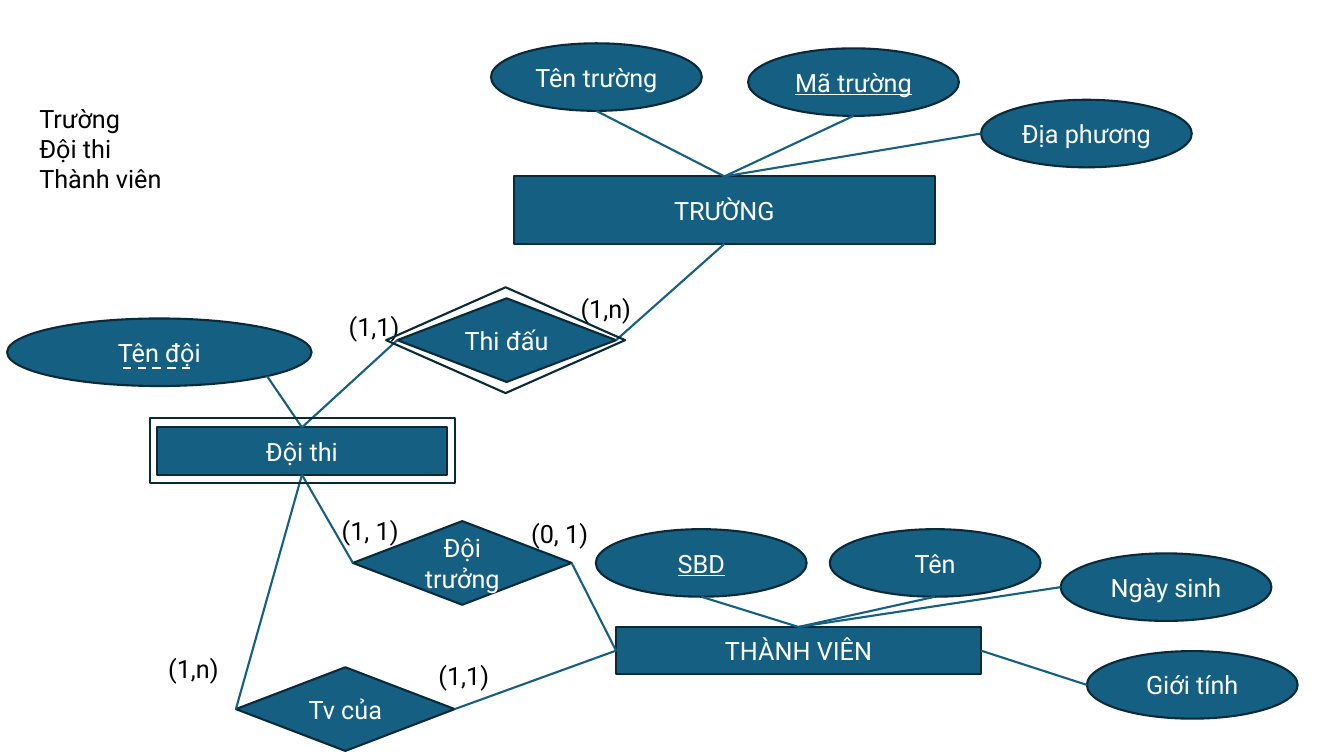
from typing import NamedTuple

import lxml.etree
import pptx
import pptx.dml.color
import pptx.enum.dml
import pptx.enum.shapes
import pptx.enum.text
import pptx.oxml.ns
import pptx.util

Inches = pptx.util.Inches
Pt = pptx.util.Pt
qn = pptx.oxml.ns.qn
Shape = pptx.enum.shapes.MSO_SHAPE

COLORS = {"fill": "156082", "outline": "092A39", "white": "FFFFFF", "black": "000000"}
FONT = "Roboto"

# Connection sites: position as a share of width and height
SITES = {"top": (0.5, 0), "left": (0, 0.5), "bottom": (0.5, 1),
         "right": (1, 0.5), "bottom right": (0.854, 0.854)}
FOUR_SITES = {"top": 0, "left": 1, "bottom": 2, "right": 3}
ELLIPSE_SITES = {"top": 0, "left": 2, "bottom": 4, "bottom right": 5, "right": 6}


class Node(NamedTuple):
    text: str
    kind: int
    left: float
    top: float
    width: float
    height: float
    underline: bool = False


class Link(NamedTuple):
    start: str
    start_site: str
    end: str
    end_site: str


class Label(NamedTuple):
    text: str
    left: float
    top: float
    width: float


def attribute(text: str, left: float, top: float, width: float = 2.09,
              underline: bool = False) -> Node:
    return Node(text, Shape.OVAL, left, top, width, 0.67, underline)


def relationship(text: str, left: float, top: float) -> Node:
    return Node(text, Shape.FLOWCHART_DECISION, left, top, 2.17, 0.83)


NODES = [
    Node("TRƯỜNG", Shape.RECTANGLE, 5.1, 1.75, 4.17, 0.67),
    Node("Đội thi", Shape.RECTANGLE, 1.56, 4.24, 2.87, 0.47),
    Node("THÀNH VIÊN", Shape.RECTANGLE, 6.11, 6.22, 3.62, 0.47),
    attribute("Mã trường", 7.42, 0.48, underline=True),
    attribute("Tên trường", 4.87, 0.43),
    attribute("Địa phương", 9.73, 0.99),
    attribute("Tên đội", 0.07, 3.16, width=3.02),
    attribute("SBD", 5.91, 5.25, underline=True),
    attribute("Tên", 8.23, 5.25),
    attribute("Ngày sinh", 10.52, 5.49),
    attribute("Giới tính", 10.78, 6.46),
    relationship("Thi đấu", 3.94, 2.96),
    relationship("Tv của", 2.34, 6.62),
    relationship("Đội trưởng", 3.5, 5.17),
]
# Outer outlines of the weak entity and its relationship
FRAMES = [
    Node("", Shape.RECTANGLE, 1.49, 4.15, 3.02, 0.64),
    Node("", Shape.FLOWCHART_DECISION, 3.83, 2.85, 2.37, 1.05),
]
LINKS = [
    Link("Tên đội", "bottom right", "Đội thi", "top"),
    Link("SBD", "bottom", "THÀNH VIÊN", "top"),
    Link("Tên", "bottom", "THÀNH VIÊN", "top"),
    Link("Ngày sinh", "left", "THÀNH VIÊN", "top"),
    Link("Giới tính", "left", "THÀNH VIÊN", "right"),
    Link("Tên trường", "bottom", "TRƯỜNG", "top"),
    Link("Mã trường", "bottom", "TRƯỜNG", "top"),
    Link("Địa phương", "left", "TRƯỜNG", "top"),
    Link("Đội thi", "top", "Thi đấu", "left"),
    Link("Thi đấu", "right", "TRƯỜNG", "bottom"),
    Link("Đội thi", "bottom", "Tv của", "left"),
    Link("Tv của", "right", "THÀNH VIÊN", "left"),
    Link("Đội thi", "bottom", "Đội trưởng", "left"),
    Link("Đội trưởng", "right", "THÀNH VIÊN", "left"),
]
LABELS = [
    Label("(1,n)", 5.66, 2.86, 0.71),
    Label("(1,1)", 3.36, 3.04, 0.9),
    Label("(1,n)", 1.57, 6.43, 1.54),
    Label("(1,1)", 4.25, 6.5, 0.92),
    Label("(1, 1)", 3.29, 5.06, 0.88),
    Label("(0, 1)", 5.17, 5.09, 0.88),
]


def rgb(name: str) -> pptx.dml.color.RGBColor:
    return pptx.dml.color.RGBColor.from_string(COLORS[name])


def style_paragraph(p, color: str) -> None:
    p.font.name = FONT
    p.font.size = Pt(18)
    p.font.color.rgb = rgb(color)


def add_node(slide, node: Node):
    sp = slide.shapes.add_shape(node.kind, Inches(node.left), Inches(node.top),
                                Inches(node.width), Inches(node.height))
    sp.shadow.inherit = False
    sp.line.color.rgb = rgb("outline")
    sp.line.width = Pt(1.5)
    if not node.text:
        sp.fill.background()
        return sp
    sp.fill.solid()
    sp.fill.fore_color.rgb = rgb("fill")
    tf = sp.text_frame
    tf.word_wrap = True
    tf.vertical_anchor = pptx.enum.text.MSO_ANCHOR.MIDDLE
    p = tf.paragraphs[0]
    p.text = node.text
    p.alignment = pptx.enum.text.PP_ALIGN.CENTER
    style_paragraph(p, "white")
    if node.underline:
        p.font.underline = True
    return sp


def add_line(slide, x1: int, y1: int, x2: int, y2: int, color: str):
    cxn = slide.shapes.add_connector(pptx.enum.shapes.MSO_CONNECTOR.STRAIGHT,
                                     x1, y1, x2, y2)
    cxn.line.color.rgb = rgb(color)
    cxn.line.width = Pt(1.5)
    lxml.etree.SubElement(cxn._element.spPr, qn("a:effectLst"))
    return cxn


def site_point(sp, site: str) -> tuple[int, int]:
    fx, fy = SITES[site]
    return int(sp.left + fx * sp.width), int(sp.top + fy * sp.height)


def add_link(slide, shapes: dict, link: Link) -> None:
    start, end = shapes[link.start], shapes[link.end]
    cxn = add_line(slide, *site_point(start, link.start_site),
                   *site_point(end, link.end_site), "fill")
    # Glue both ends so that the line follows its shapes
    props = cxn._element.find(".//" + qn("p:cNvCxnSpPr"))
    for tag, sp, site in (("a:stCxn", start, link.start_site),
                          ("a:endCxn", end, link.end_site)):
        is_ellipse = sp.auto_shape_type == Shape.OVAL
        index = (ELLIPSE_SITES if is_ellipse else FOUR_SITES)[site]
        lxml.etree.SubElement(props, qn(tag), id=str(sp.shape_id), idx=str(index))


def add_label(slide, label: Label) -> None:
    sp = slide.shapes.add_textbox(Inches(label.left), Inches(label.top),
                                  Inches(label.width), Inches(0.4))
    sp.text_frame.word_wrap = True
    p = sp.text_frame.paragraphs[0]
    p.text = label.text
    style_paragraph(p, "black")


def fill_entity_list(sp, entities: list[str]) -> None:
    sp.left, sp.top = Inches(0.29), Inches(0.97)
    sp.width, sp.height = Inches(3.15), Inches(1.31)
    tf = sp.text_frame
    tf.text = "\n".join(entities)
    tf.auto_size = pptx.enum.text.MSO_AUTO_SIZE.NONE
    tf.vertical_anchor = pptx.enum.text.MSO_ANCHOR.TOP
    for p in tf.paragraphs:
        style_paragraph(p, "black")
        p.space_before = Pt(0)
        props = p._p.get_or_add_pPr()
        props.set("marL", "0")
        props.set("indent", "0")
        lxml.etree.SubElement(props, qn("a:buNone"))


def main() -> None:
    prs = pptx.Presentation()
    prs.slide_width, prs.slide_height = Inches(13.33), Inches(7.5)
    slide = prs.slides.add_slide(prs.slide_layouts[1])
    title = slide.shapes.title._element
    title.getparent().remove(title)

    fill_entity_list(slide.placeholders[1], ["Trường", "Đội thi", "Thành viên"])

    # Diagram
    shapes = {node.text: add_node(slide, node) for node in NODES}
    for link in LINKS:
        add_link(slide, shapes, link)
    for label in LABELS:
        add_label(slide, label)
    for frame in FRAMES:
        add_node(slide, frame)

    # Dashed underline of the partial key
    dash = add_line(slide, Inches(1.22), Inches(3.65), Inches(1.94), Inches(3.65), "white")
    dash.line.dash_style = pptx.enum.dml.MSO_LINE.DASH

    prs.save("out.pptx")


if __name__ == "__main__":
    main()
